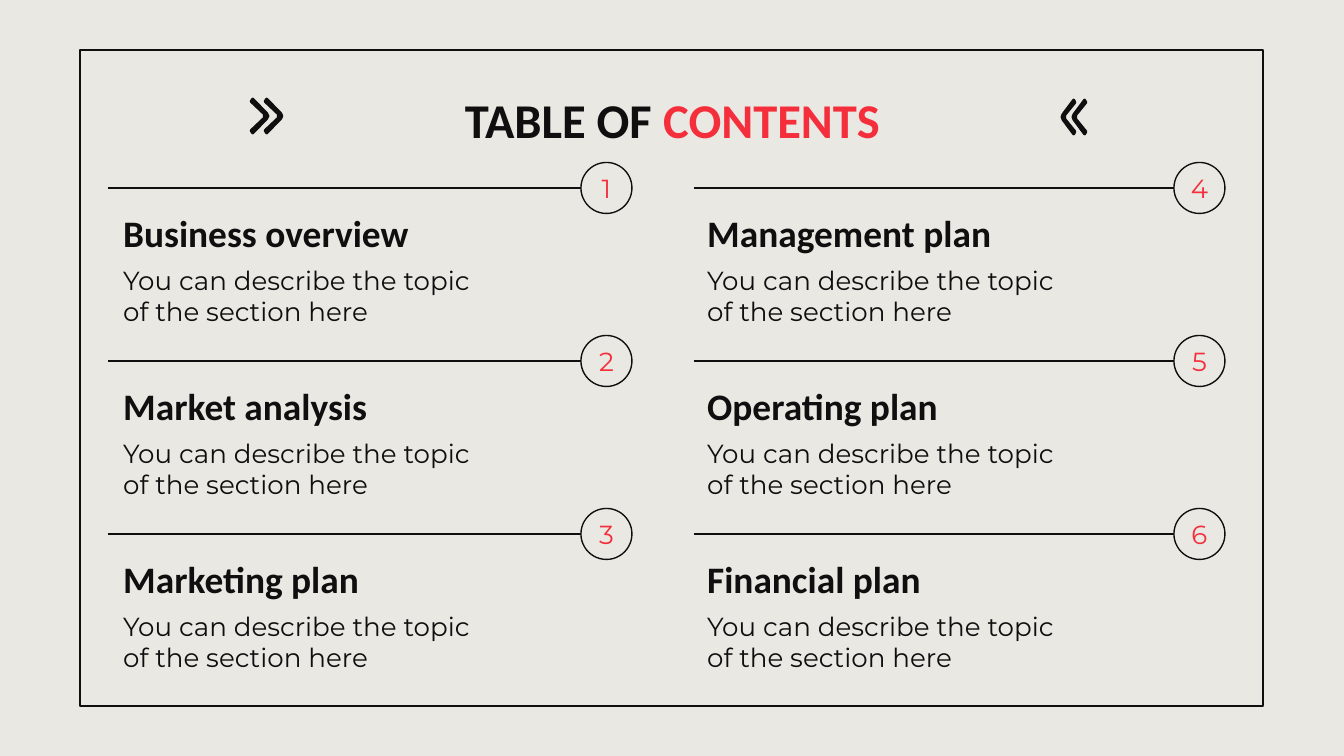
from lxml import etree
from pptx import Presentation
from pptx.dml.color import RGBColor
from pptx.enum.shapes import MSO_CONNECTOR, MSO_SHAPE
from pptx.enum.text import MSO_ANCHOR, MSO_AUTO_SIZE, PP_ALIGN
from pptx.oxml.ns import qn
from pptx.util import Emu, Inches, Pt

RECTANGLE, OVAL = MSO_SHAPE.RECTANGLE, MSO_SHAPE.OVAL
STRAIGHT = MSO_CONNECTOR.STRAIGHT
LEFT, CENTER = PP_ALIGN.LEFT, PP_ALIGN.CENTER
MIDDLE = MSO_ANCHOR.MIDDLE
NO_AUTOFIT = MSO_AUTO_SIZE.NONE

SCALE = 914400 / 134.4
INK, RED, PAPER = "100E0E", "F52E3C", "E9E8E3"
HEADING = {"size": Pt(20), "name": "Calibri", "bold": True}
TITLE = {**HEADING, "size": Pt(26)}
BODY = {"size": Pt(14), "name": "Montserrat", "bold": False}

TOPICS = [
    ["Business overview", "Market analysis", "Marketing plan"],
    ["Management plan", "Operating plan", "Financial plan"],
]
DESCRIPTION = "You can describe the topic of the section here"
# Per column: rule left, text left, circle left
COLUMNS = [(108, 110, 581), (694, 694, 1174)]
ROW_TOP, ROW_PITCH = 188, 173
CIRCLE = 51

# Right-pointing chevron, as fractions of its width and height
CHEVRON = [(0, 0.93), (0.78, 0.56), (0.78, 0.44), (0, 0.07), (0.1, 0),
           (0.92, 0.42), (1, 0.5), (0.92, 0.58), (0.1, 1)]


def px(length):
    return Emu(round(length * SCALE))


def color(hex_value):
    return RGBColor.from_string(hex_value)


def style_line(line, width=0.75):
    line.color.rgb = color(INK)
    line.width = Pt(width)


def add_outline(slide, kind, *box):
    outline = slide.shapes.add_shape(kind, *map(px, box))
    outline.shadow.inherit = False
    outline.fill.background()
    style_line(outline.line)


def add_rule(slide, left, right, y):
    rule = slide.shapes.add_connector(STRAIGHT, px(left), px(y), px(right), px(y))
    style_line(rule.line)
    etree.SubElement(rule._element.spPr, qn("a:effectLst"))


def write(frame, runs, font, align):
    """Fill a text frame with one paragraph of (text, colour) runs."""
    layout = {"word_wrap": True, "auto_size": NO_AUTOFIT, "vertical_anchor": MIDDLE}
    margins = dict.fromkeys(
        ("margin_left", "margin_top", "margin_right", "margin_bottom"), Inches(0.1))
    for key, value in {**layout, **margins}.items():
        setattr(frame, key, value)
    paragraph = frame.paragraphs[0]
    paragraph.alignment = align
    for text, hex_value in runs:
        run = paragraph.add_run()
        run.text = text
        run.font.color.rgb = color(hex_value)
        for key, value in font.items():
            setattr(run.font, key, value)


def add_text(slide, box, text, font, hex_value=INK, align=LEFT):
    label = slide.shapes.add_textbox(*map(px, box))
    write(label.text_frame, [(text, hex_value)], font, align)


def add_title(slide):
    title = slide.shapes.title
    box = {"left": 282, "top": 77, "width": 781, "height": 85}
    for key, value in box.items():
        setattr(title, key, px(value))
    write(title.text_frame, [("TABLE OF ", INK), ("CONTENTS", RED)], TITLE, CENTER)


def add_chevron(slide, back, top, width, height=34):
    """A negative width makes the chevron point left."""
    points = [(px(back + x * width), px(top + y * height)) for x, y in CHEVRON]
    builder = slide.shapes.build_freeform(*points[0], scale=1.0)
    builder.add_line_segments(points[1:], close=True)
    chevron = builder.convert_to_shape()
    chevron.shadow.inherit = False
    chevron.fill.solid()
    chevron.fill.fore_color.rgb = color(INK)
    style_line(chevron.line, 1.5)
    etree.SubElement(chevron.line._get_or_add_ln(), qn("a:round"))


def add_topic(slide, number, heading, column, row):
    rule_left, text_left, circle_left = column
    y = ROW_TOP + row * ROW_PITCH
    add_rule(slide, rule_left, circle_left, y)
    add_outline(slide, OVAL, circle_left, y - CIRCLE / 2, CIRCLE, CIRCLE)
    add_text(slide, (circle_left - 11, y - 17, 73, 35), str(number), BODY, RED, CENTER)
    add_text(slide, (text_left, y + 6, 507, 78), heading, HEADING)
    add_text(slide, (text_left, y + 72, 405, 71), DESCRIPTION, BODY)


def main():
    deck = Presentation()
    deck.slide_width, deck.slide_height = px(1344), px(756)
    slide = deck.slides.add_slide(deck.slide_layouts[5])
    slide.background.fill.solid()
    slide.background.fill.fore_color.rgb = color(PAPER)

    # Frame and title
    add_outline(slide, RECTANGLE, 80, 50, 1183, 656)
    add_title(slide)

    # Numbered topics, down each column
    number = 0
    for column, headings in zip(COLUMNS, TOPICS):
        for row, heading in enumerate(headings):
            number += 1
            add_topic(slide, number, heading, column, row)

    # Double chevrons pointing at the title
    for back in (251, 265):
        add_chevron(slide, back, 99, 17)
    for back in (1075, 1086):
        add_chevron(slide, back, 100, -13)

    deck.save("out.pptx")


if __name__ == "__main__":
    main()
